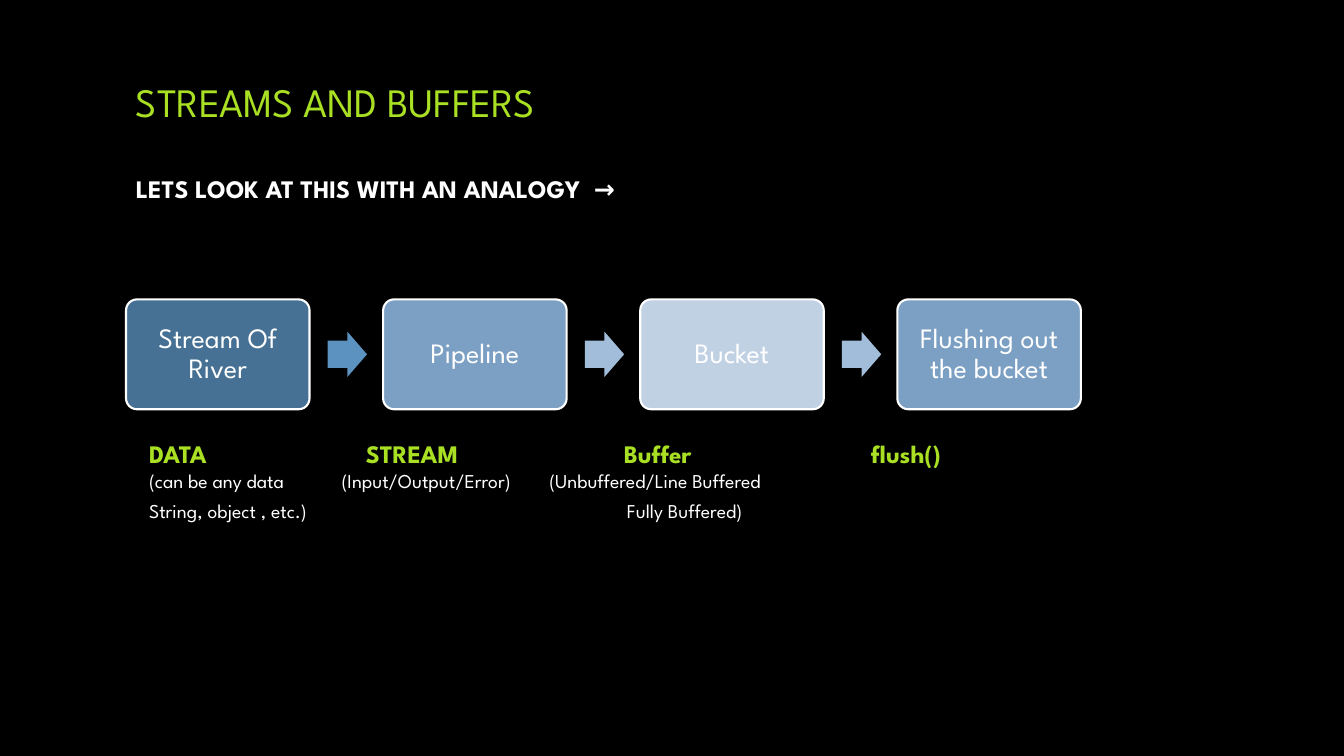
from dataclasses import dataclass

from lxml.etree import SubElement
from pptx import Presentation
from pptx.dml.color import RGBColor
from pptx.enum.shapes import MSO_SHAPE
from pptx.enum.text import MSO_ANCHOR, PP_ALIGN
from pptx.oxml.ns import qn
from pptx.shapes.autoshape import Shape
from pptx.slide import Slide
from pptx.text.text import TextFrame
from pptx.util import Inches, Pt

FONT = "League Spartan"
BLACK = RGBColor(0x00, 0x00, 0x00)
WHITE = RGBColor(0xFF, 0xFF, 0xFF)
LIME = RGBColor(0xA9, 0xE0, 0x23)
DEEP_BLUE = RGBColor(0x46, 0x71, 0x95)
BRIGHT_BLUE = RGBColor(0x5B, 0x92, 0xC0)
MID_BLUE = RGBColor(0x7C, 0xA0, 0xC4)
SOFT_BLUE = RGBColor(0xA2, 0xBD, 0xD9)
PALE_BLUE = RGBColor(0xC1, 0xD1, 0xE4)

# The flow is a grid of equal columns; each holds a card, then an arrow.
LEFT = 1.25
COLUMN = 2.55
CARD_WIDTH, CARD_HEIGHT = 1.82, 1.09
ARROW_OFFSET, ARROW_WIDTH, ARROW_HEIGHT = 2.0, 0.39, 0.45
FLOW_MIDDLE = 3.515


@dataclass(frozen=True)
class Step:
    label: str
    fill: RGBColor
    arrow_fill: RGBColor | None = None


@dataclass(frozen=True)
class CaptionLine:
    entries: tuple[str, ...]
    tab_stops: tuple[float, ...]
    size: float = 14
    color: RGBColor = WHITE
    bold: bool = False
    space_before: float = 0


STEPS = (
    Step("Stream Of River", DEEP_BLUE, BRIGHT_BLUE),
    Step("Pipeline", MID_BLUE, SOFT_BLUE),
    Step("Bucket", PALE_BLUE, SOFT_BLUE),
    Step("Flushing out the bucket", MID_BLUE),
)

CAPTION_LINES = (
    CaptionLine(("DATA", "STREAM", "Buffer", "flush()"), (2.15, 4.71, 7.16),
                size=18, color=LIME, bold=True),
    CaptionLine(("(can be any data", "(Input/Output/Error)", "(Unbuffered/Line Buffered"),
                (1.91, 3.97)),
    CaptionLine(("String, object , etc.)", "Fully Buffered)"), (4.74,), space_before=4.5),
)


def write_paragraph(frame: TextFrame, text: str, *, size: float, color: RGBColor = WHITE,
                    bold: bool = False, align: PP_ALIGN = PP_ALIGN.LEFT,
                    line_spacing: float = 1.0, space_before: float = 0,
                    tab_stops: tuple[float, ...] = ()) -> None:
    """Fill the frame's first paragraph if it is empty, otherwise add one."""
    paragraph = frame.paragraphs[-1]
    if paragraph.runs:
        paragraph = frame.add_paragraph()
    paragraph.alignment = align
    paragraph.line_spacing = line_spacing
    paragraph.space_before = Pt(space_before)
    if tab_stops:
        tab_list = SubElement(paragraph._p.get_or_add_pPr(), qn("a:tabLst"))
        for stop in tab_stops:
            SubElement(tab_list, qn("a:tab"), pos=str(Inches(stop)), algn="l")
    run = paragraph.add_run()
    run.text = text
    run.font.name = FONT
    run.font.size = Pt(size)
    run.font.bold = bold
    run.font.color.rgb = color


def add_text_frame(slide: Slide, left: float, top: float, width: float, height: float,
                   anchor: MSO_ANCHOR) -> TextFrame:
    box = slide.shapes.add_textbox(Inches(left), Inches(top), Inches(width), Inches(height))
    frame = box.text_frame
    frame.word_wrap = True
    frame.vertical_anchor = anchor
    return frame


def add_flow_shape(slide: Slide, kind: MSO_SHAPE, left: float, width: float, height: float,
                   fill: RGBColor) -> Shape:
    """Add a flat shape centred vertically on the flow."""
    shape = slide.shapes.add_shape(kind, Inches(left), Inches(FLOW_MIDDLE - height / 2),
                                   Inches(width), Inches(height))
    shape.shadow.inherit = False
    shape.fill.solid()
    shape.fill.fore_color.rgb = fill
    shape.line.fill.background()
    return shape


def add_step(slide: Slide, step: Step, column: int) -> None:
    left = LEFT + column * COLUMN
    card = add_flow_shape(slide, MSO_SHAPE.ROUNDED_RECTANGLE, left,
                          CARD_WIDTH, CARD_HEIGHT, step.fill)
    card.adjustments[0] = 0.1
    card.line.color.rgb = WHITE
    card.line.width = Pt(1.5)
    frame = card.text_frame
    frame.word_wrap = True
    frame.vertical_anchor = MSO_ANCHOR.MIDDLE
    write_paragraph(frame, step.label, size=20, align=PP_ALIGN.CENTER, line_spacing=0.9)
    if step.arrow_fill is not None:
        arrow = add_flow_shape(slide, MSO_SHAPE.RIGHT_ARROW, left + ARROW_OFFSET,
                               ARROW_WIDTH, ARROW_HEIGHT, step.arrow_fill)
        arrow.adjustments[0] = 0.6
        arrow.adjustments[1] = 0.5


def add_title(slide: Slide) -> None:
    frame = add_text_frame(slide, LEFT, 0.67, 10.83, 1.44, MSO_ANCHOR.MIDDLE)
    write_paragraph(frame, "STREAMS AND BUFFERS", size=28.8, color=LIME)
    write_paragraph(frame, "LETS LOOK AT THIS WITH AN ANALOGY  →", size=18, bold=True,
                    space_before=34)


def add_captions(slide: Slide) -> None:
    frame = add_text_frame(slide, 1.38, 4.3, 9.34, 0.94, MSO_ANCHOR.TOP)
    for line in CAPTION_LINES:
        write_paragraph(frame, "\t".join(line.entries), size=line.size, color=line.color,
                        bold=line.bold, space_before=line.space_before,
                        tab_stops=line.tab_stops)


def main() -> None:
    presentation = Presentation()
    presentation.slide_width = Inches(13.33)
    presentation.slide_height = Inches(7.5)
    slide = presentation.slides.add_slide(presentation.slide_layouts[6])
    slide.background.fill.solid()
    slide.background.fill.fore_color.rgb = BLACK
    add_title(slide)
    for column, step in enumerate(STEPS):
        add_step(slide, step, column)
    add_captions(slide)
    presentation.save("out.pptx")


if __name__ == "__main__":
    main()
